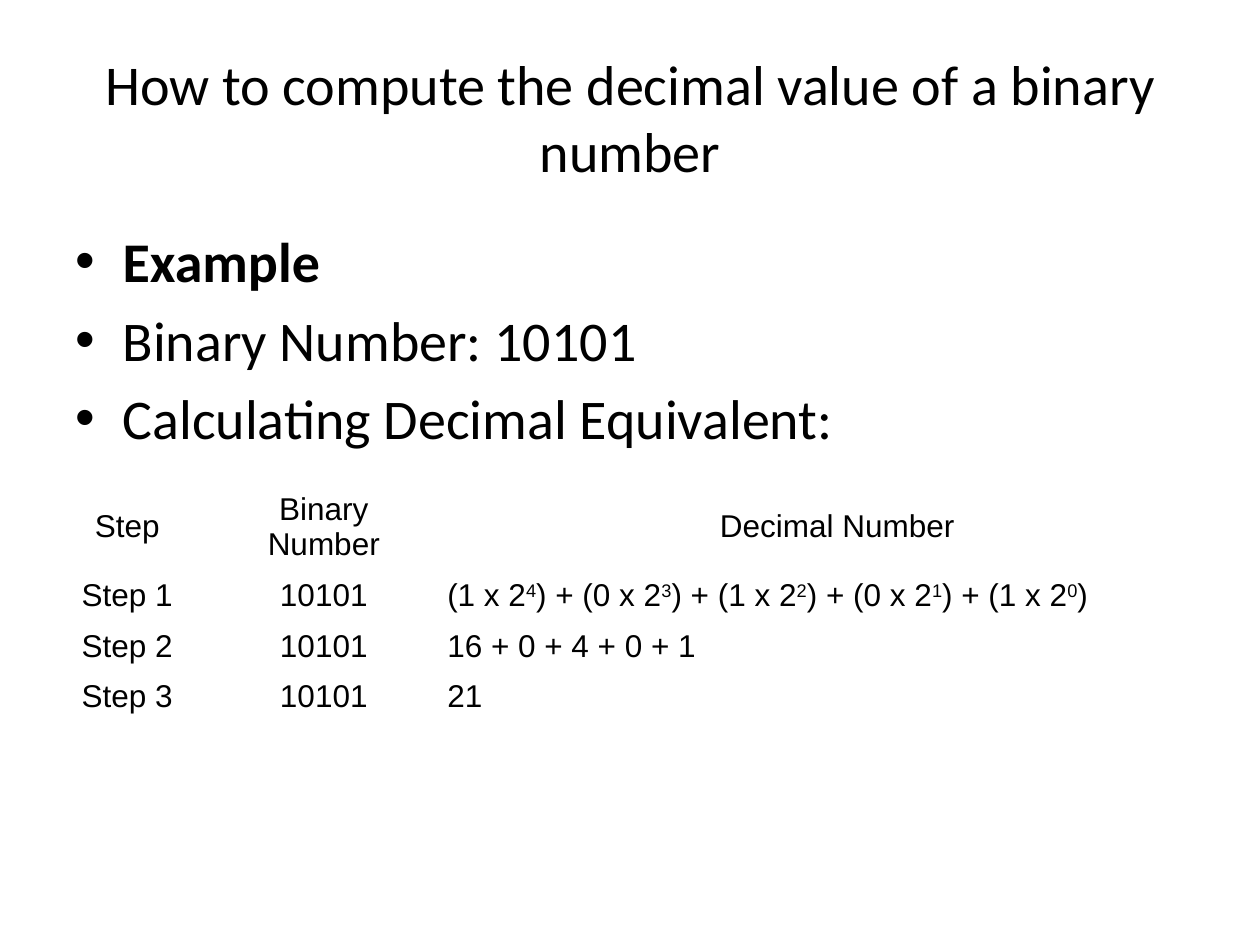
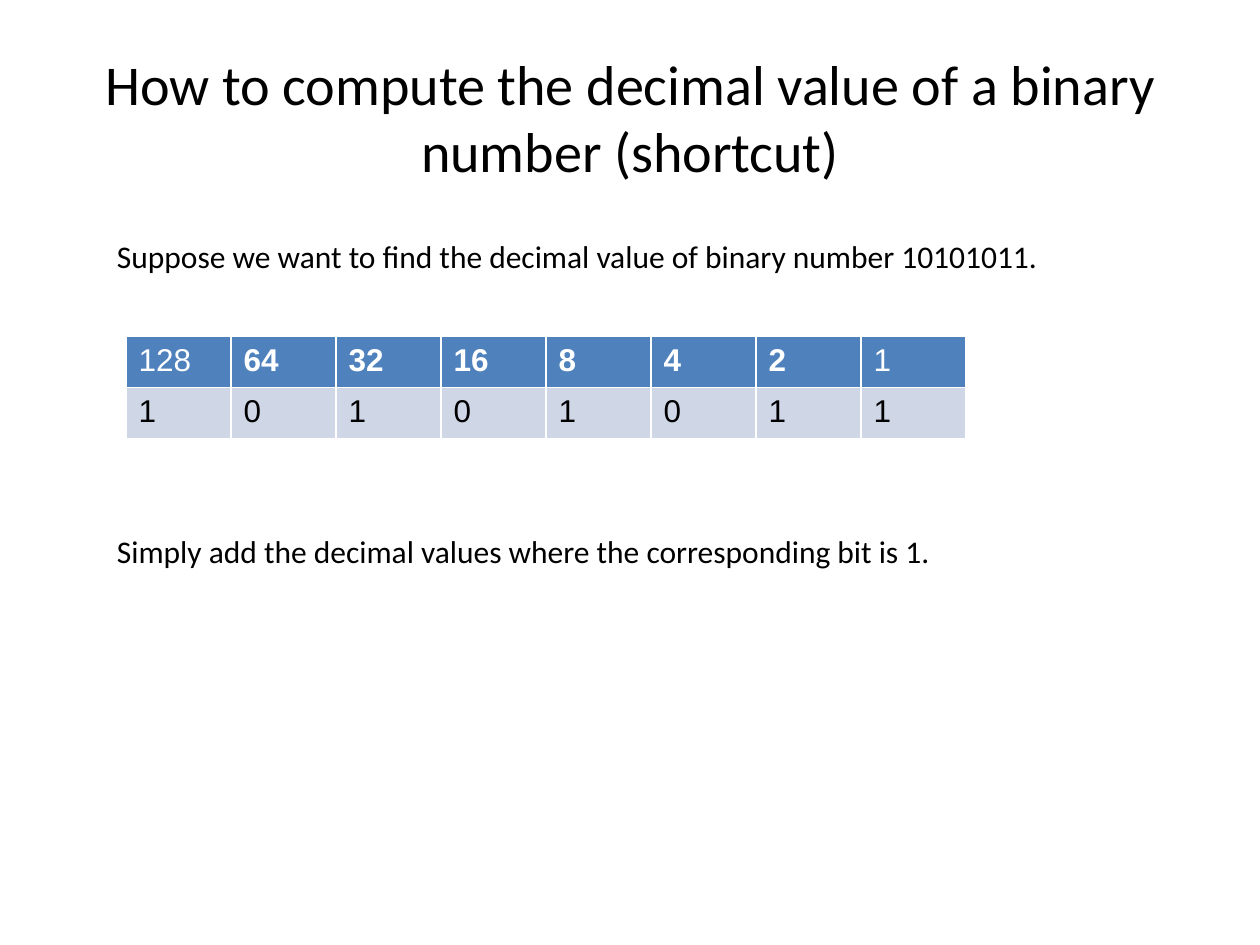
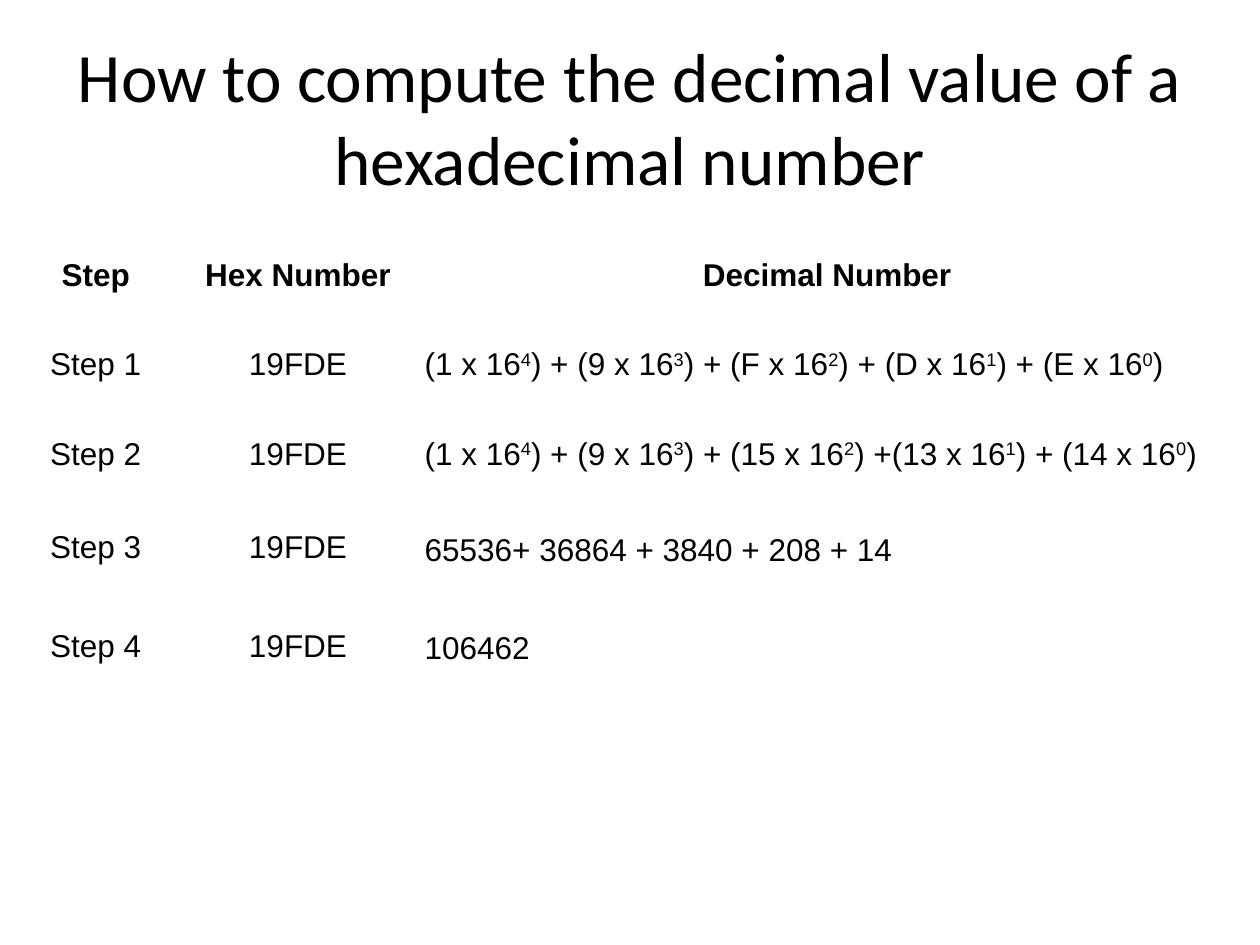
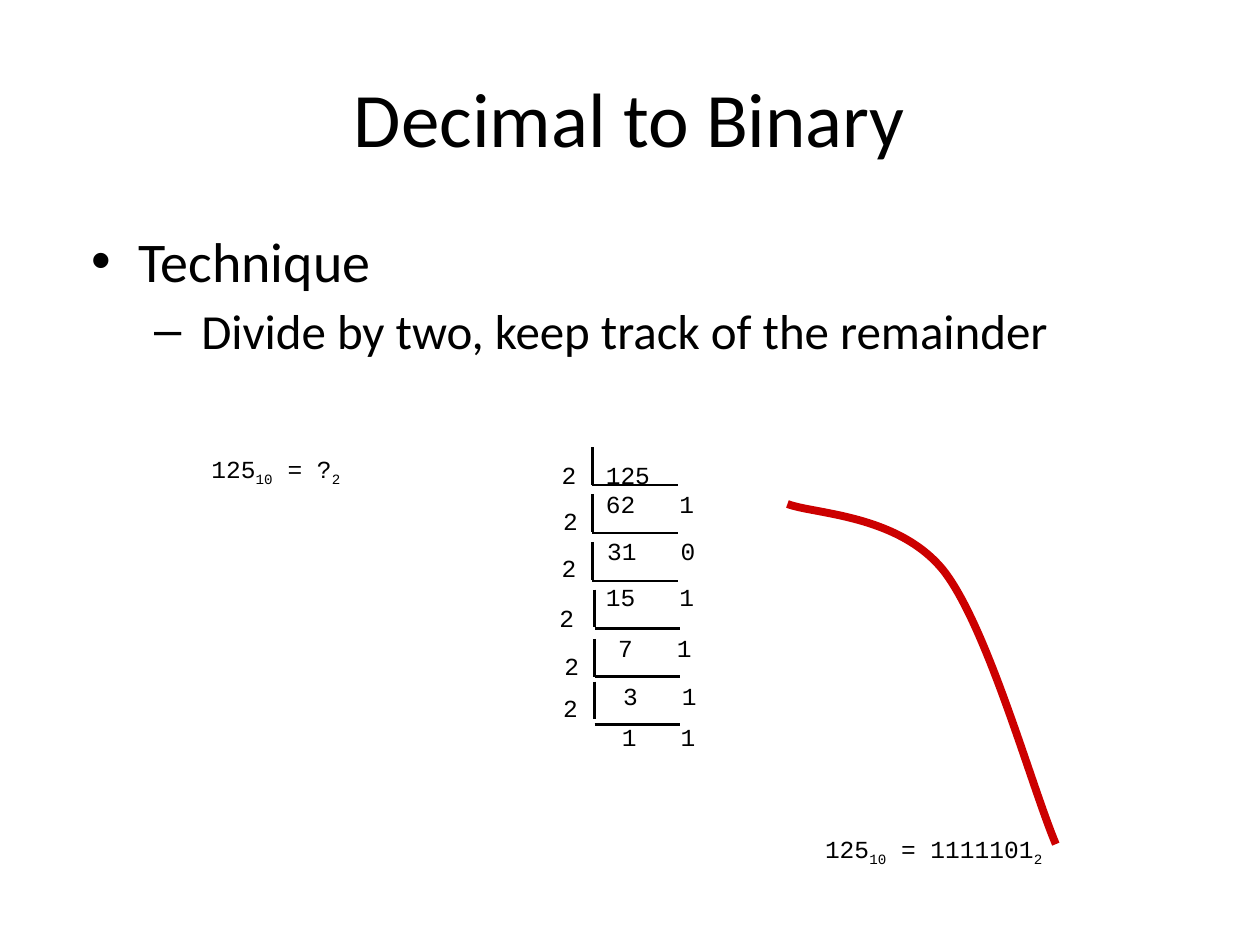
from dataclasses import dataclass

from lxml import etree
from pptx import Presentation
from pptx.dml.color import RGBColor
from pptx.enum.shapes import MSO_CONNECTOR
from pptx.enum.text import MSO_ANCHOR, PP_ALIGN
from pptx.oxml.ns import qn
from pptx.util import Inches, Pt

LEFT, CENTER = PP_ALIGN.LEFT, PP_ALIGN.CENTER
TOP, MIDDLE = MSO_ANCHOR.TOP, MSO_ANCHOR.MIDDLE
STRAIGHT = MSO_CONNECTOR.STRAIGHT


@dataclass(frozen=True)
class Theme:
    ink: RGBColor = RGBColor(0x00, 0x00, 0x00)
    paper: RGBColor = RGBColor(0xFF, 0xFF, 0xFF)
    header: RGBColor = RGBColor(0x4F, 0x81, 0xBD)
    band: RGBColor = RGBColor(0xCF, 0xD7, 0xE7)
    curve: RGBColor = RGBColor(0xCC, 0x00, 0x00)
    text_font: str = "Calibri"
    table_font: str = "Arial"
    digit_font: str = "Courier New"
    title: float = 44
    title_long: float = 39.6
    title_longest: float = 32.1
    body: float = 32
    sub_body: float = 28
    small: float = 18
    digits: float = 14


theme = Theme()
deck = Presentation()
deck.slide_width, deck.slide_height = Inches(10), Inches(7.5)
CELL = deck.slide_width / 100


def grid(*cells):
    return [round(cell * CELL) for cell in cells]


def write(paragraph, text, size, font=theme.text_font, color=theme.ink,
          bold=False, align=LEFT, shift=30):
    plain, *rest = text.split("|")
    paragraph.text = plain
    for part in rest:
        paragraph.add_run().text = part
    paragraph.alignment = align
    for index, run in enumerate(paragraph.runs):
        run.font.size, run.font.name, run.font.bold = Pt(size), font, bold
        run.font.color.rgb = color
        if index % 2 and rest:
            run.font._element.set("baseline", str(shift * 1000))
    for line_break in paragraph._p.findall(qn("a:br")):
        etree.SubElement(line_break, qn("a:rPr"), sz=str(size * 100))


headings = [
    ("How to compute the decimal value of a binary number", theme.title_longest),
    ("How to compute the decimal value of a binary number (shortcut)", theme.title_longest),
    ("How to compute the decimal value of a hexadecimal number", theme.title_long),
    ("Decimal to Binary", theme.title),
]
slides = []
for heading, size in headings:
    slide = deck.slides.add_slide(deck.slide_layouts[6])
    frame = slide.shapes.add_textbox(*grid(5, 3, 90, 12.5)).text_frame
    frame.word_wrap, frame.vertical_anchor = True, MIDDLE
    write(frame.paragraphs[0], heading, size, align=CENTER)
    slides.append(slide)
binary, shortcut, hexadecimal, division = slides

outlines = [
    (binary, 6.4, [
        ("Example", "•", 3.75, theme.body, True),
        ("Binary Number: 10101", "•", 3.75, theme.body, False),
        ("Calculating Decimal Equivalent:", "•", 3.75, theme.body, False),
    ]),
    (division, 3.6, [
        ("Technique", "•", 5, theme.body, False),
        ("Divide by two, keep track of the remainder", "–", 10, theme.sub_body, False),
    ]),
]
for slide, gap, points in outlines:
    frame = slide.shapes.add_textbox(*grid(5, 17.5, 90, 49.5)).text_frame
    frame.word_wrap = True
    for index, (point, bullet, indent, size, bold) in enumerate(points):
        paragraph = frame.add_paragraph() if index else frame.paragraphs[0]
        margin, hanging = grid(indent, -3.75)
        properties = paragraph._p.get_or_add_pPr()
        properties.set("marL", str(margin))
        properties.set("indent", str(hanging))
        etree.SubElement(properties, qn("a:buFont"), typeface="Arial")
        etree.SubElement(properties, qn("a:buChar"), char=bullet)
        if bullet == "–":
            paragraph.level = 1
        if index:
            paragraph.space_before = Pt(gap)
        write(paragraph, point, size, bold=bold)

workings = [
    (binary, (3.3, 38.3), (13.6, 17.6, 63.9), (6.5, 3.8, 3.8, 3.8), False, 1, [
        ("Step", "Binary Number", "Decimal Number"),
        ("Step 1", "10101",
         "(1 x 2|4|) + (0 x 2|3|) + (1 x 2|2|) + (0 x 2|1|) + (1 x 2|0|)"),
        ("Step 2", "10101", "16 + 0 + 4 + 0 + 1"),
        ("Step 3", "10101", "21"),
    ]),
    (hexadecimal, (0.6, 18.3), (14, 18.1, 65.9), (7.1, 7.1, 7.1, 7.8, 7.8), True, 1.15, [
        ("Step", "Hex Number", "Decimal Number"),
        ("Step 1", "19FDE",
         "(1 x 16|4|) + (9 x 16|3|) + (F x 16|2|) + (D x 16|1|) + (E x 16|0|)"),
        ("Step 2", "19FDE",
         "(1 x 16|4|) + (9 x 16|3|) + (15 x 16|2|) +(13 x 16|1|) + (14 x 16|0|)"),
        ("Step 3", "19FDE", "65536+ 36864 + 3840 + 208 + 14"),
        ("Step 4", "19FDE", "106462"),
    ]),
]
for slide, corner, widths, heights, bold_header, spacing, steps in workings:
    table = slide.shapes.add_table(
        len(steps), len(widths), *grid(*corner, sum(widths), sum(heights))).table
    table.first_row = table.horz_banding = False
    for column, width in zip(table.columns, grid(*widths)):
        column.width = width
    for row, height in zip(table.rows, grid(*heights)):
        row.height = height
    for r, step in enumerate(steps):
        for c, entry in enumerate(step):
            cell = table.cell(r, c)
            cell.fill.background()
            cell.vertical_anchor = MIDDLE
            is_working = r > 0 and c == 2
            paragraph = cell.text_frame.paragraphs[0]
            write(paragraph, entry, theme.small, theme.table_font,
                  bold=bold_header and r == 0, align=LEFT if is_working else CENTER)
            if is_working and "|" not in entry:
                paragraph.line_spacing = spacing

bits = "10101011"
table = shortcut.shapes.add_table(2, len(bits), *grid(10, 26.7, 66.7, 8.1)).table
table.horz_banding = False
for c, bit in enumerate(bits):
    power = len(bits) - 1 - c
    inner = 0 < power < len(bits) - 1
    for r, (entry, fill, color, bold) in enumerate([
        (str(2 ** power), theme.header, theme.paper, inner),
        (bit, theme.band, theme.ink, False),
    ]):
        cell = table.cell(r, c)
        cell.fill.solid()
        cell.fill.fore_color.rgb = fill
        cell.vertical_anchor = TOP
        write(cell.text_frame.paragraphs[0], entry, theme.small,
              theme.table_font, color, bold)

for remark, top, width in [
    ("Suppose we want to find the decimal value of binary number 10101011.", 18.3, 75.4),
    ("Simply add the decimal values where the corresponding bit is 1.", 41.7, 81.7),
]:
    frame = shortcut.shapes.add_textbox(*grid(8.3, top, width, 4)).text_frame
    frame.word_wrap = True
    write(frame.paragraphs[0], remark, theme.small)

for equation, left, top, width in [
    ("125|10| = ?|2", 11.8, 35.5, 20.2),
    ("125|10| = 1111101|2", 58, 65.7, 32.2),
]:
    frame = division.shapes.add_textbox(*grid(left, top, width, 4.5)).text_frame
    frame.word_wrap = True
    write(frame.paragraphs[0], equation, theme.digits, theme.digit_font,
          align=CENTER, shift=-25)

DIGIT = 1.167
FIRST_UNDERLINE, STEP_PITCH = 38.5, 3.8
number = 125
for index, (left, top, bar_left, bar_top) in enumerate([
    (43.6, 36, 47, 35.5),
    (43.7, 39.7, 47, 39.2),
    (43.6, 43.4, 47, 43),
    (43.4, 47.4, 47.2, 46.8),
    (43.8, 51.2, 47.2, 50.7),
    (43.7, 54.5, 47.2, 54.1),
]):
    dividend = f"\t{number}" if index == 0 else ""
    remainder = number % 2
    number //= 2
    frame = division.shapes.add_textbox(
        *grid(left, top, 20.2, 8.1 if index else 5.7)).text_frame
    frame.word_wrap = True
    paragraph = frame.paragraphs[0]
    stops = etree.SubElement(paragraph._p.get_or_add_pPr(), qn("a:tabLst"))
    for stop in grid((3 if number > 9 else 4) * DIGIT, 8 * DIGIT):
        etree.SubElement(stops, qn("a:tab"), pos=str(stop), algn="l")
    write(paragraph, f"2{dividend}\v\t{number}\t{remainder}",
          theme.digits, theme.digit_font)
    underline = FIRST_UNDERLINE + index * STEP_PITCH
    for ends in [
        (bar_left, bar_top, bar_left, bar_top + 3),
        (bar_left, underline, bar_left + 6.8, underline),
    ]:
        rule = division.shapes.add_connector(STRAIGHT, *grid(*ends))
        rule.line.color.rgb, rule.line.width = theme.ink, Pt(1.5)
        etree.SubElement(rule._element.spPr, qn("a:effectLst"))

start, *bends = [grid(*point) for point in [
    (62.5, 40), (64.5, 40.8), (71.3, 40.8), (74.9, 45.3),
    (78.4, 49.8), (81.9, 62.5), (83.8, 67),
]]
builder = division.shapes.build_freeform(*start)
builder.add_line_segments(bends, close=False)
reading_order = builder.convert_to_shape()
reading_order.shadow.inherit = False
reading_order.fill.background()
reading_order.line.color.rgb, reading_order.line.width = theme.curve, Pt(4.5)
outline = reading_order._element.find(f".//{qn('a:path')}")
segments = outline.findall(qn("a:lnTo"))
for first in range(0, len(segments), 3):
    curve = etree.SubElement(outline, qn("a:cubicBezTo"))
    for segment in segments[first:first + 3]:
        curve.append(segment[0])
        outline.remove(segment)

deck.save("out.pptx")
